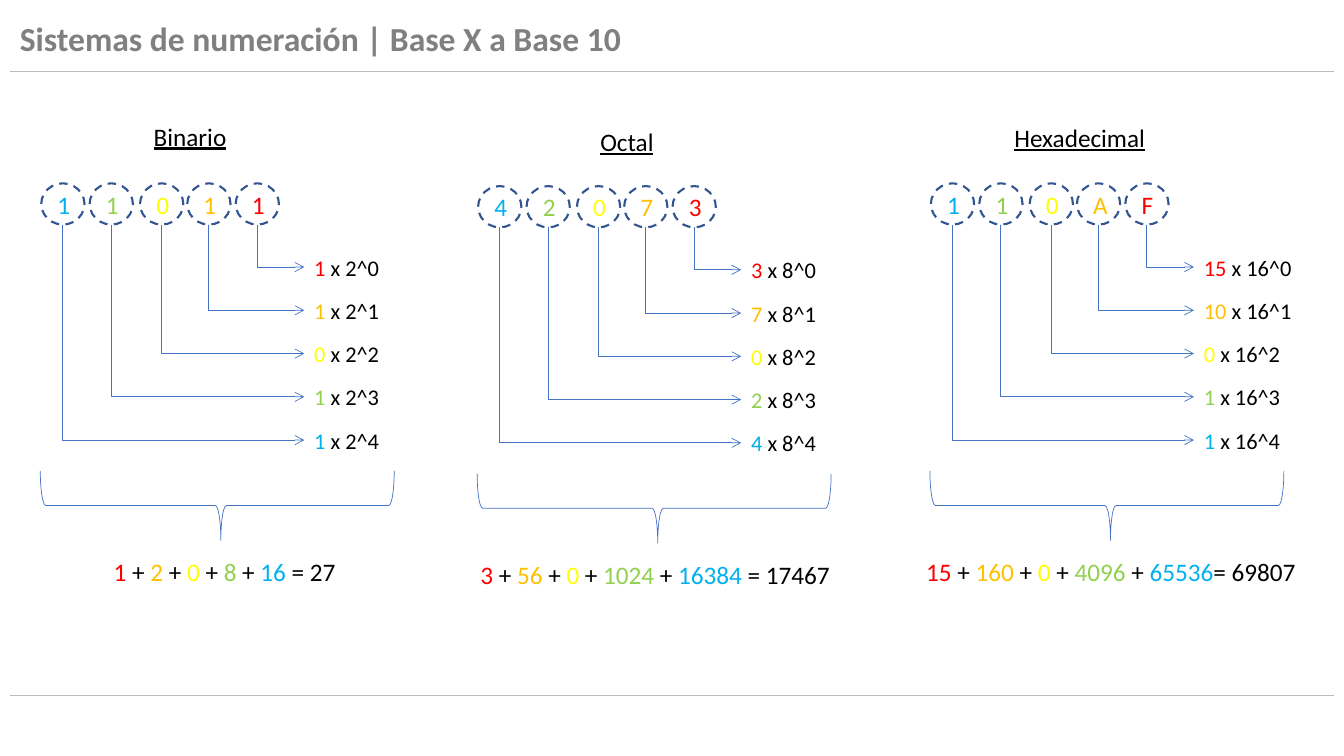
from pptx import Presentation
from pptx import util as u
from pptx.dml.color import RGBColor
from pptx.enum import dml, shapes, text
from pptx.oxml import ns
from lxml import etree

Cm, Pt = u.Cm, u.Pt
HUES = {
    "red": "FF0000", "gold": "FFC000", "yellow": "FFFF00",
    "green": "92D050", "blue": "00B0F0", "black": "000000",
    "gray": "808080", "rule": "BBBDBF", "ring": "325491", "line": "4472C4",
}
RANKS = ["red", "gold", "yellow", "green", "blue"]
RINGS = [0, 1.22, 2.49, 3.68, 4.9]

deck = Presentation()
deck.slide_width, deck.slide_height = Cm(33.87), Cm(19.05)
slide = deck.slides.add_slide(deck.slide_layouts[6])


def write(frame, runs, size, align=text.PP_ALIGN.LEFT):
    para = frame.paragraphs[0]
    para.alignment = align
    para.font.size = Pt(size)
    para.font.name = "Calibri"
    for words, hue in runs:
        run = para.add_run()
        run.text = words
        run.font.color.rgb = RGBColor.from_string(HUES[hue])
    return para


def draw(kind, x1, y1, x2, y2, hue, width):
    line = slide.shapes.add_connector(kind, Cm(x1), Cm(y1), Cm(x2), Cm(y2))
    line.line.color.rgb = RGBColor.from_string(HUES[hue])
    line.line.width = Pt(width)
    etree.SubElement(line.element.spPr, ns.qn("a:effectLst"))
    return line


for y in (1.8, 17.53):
    draw(shapes.MSO_CONNECTOR.STRAIGHT, 0.24, y, 33.62, y, "rule", 0.75)

title = slide.shapes.add_textbox(Cm(0.25), Cm(0.38), Cm(31.93), Cm(1.3)).text_frame
title.word_wrap = True
title.vertical_anchor = text.MSO_ANCHOR.MIDDLE
para = write(title, [("Sistemas de numeración | Base X a Base 10", "gray")], 24)
para.font.bold = True
para.line_spacing = 0.9

PANELS = [
    ("Binario", "11011", 2, 1.04, 0, 2.92, 2.46, 6.4, " = "),
    ("Octal", "42073", 8, 12.05, 0.07, 3.05, 11.71, 9.6, " = "),
    ("Hexadecimal", "110AF", 16, 23.46, 0, 2.95, 22.89, 10.21, "= "),
]

for name, digits, base, left, drop, top, start, wide, equal in PANELS:
    head = slide.shapes.add_textbox(Cm(left + 1.75), Cm(top), Cm(4), Cm(1.02)).text_frame
    head.word_wrap = True
    para = write(head, [(name, "black")], 18, text.PP_ALIGN.CENTER)
    para.font.underline = True

    terms, total = [], 0
    for rank, digit in enumerate(reversed(digits)):
        hue = RANKS[rank]
        x = left + RINGS[4 - rank]
        y = 6.73 + drop + 1.09 * rank
        value = int(digit, 16)

        ring = slide.shapes.add_shape(
            shapes.MSO_SHAPE.OVAL, Cm(x), Cm(4.62 + drop), Cm(1.09), Cm(1.04))
        ring.shadow.inherit = False
        ring.fill.background()
        ring.line.color.rgb = RGBColor.from_string(HUES["ring"])
        ring.line.width = Pt(1.5)
        ring.line.dash_style = dml.MSO_LINE.DASH
        write(ring.text_frame, [(digit, hue)], 18, text.PP_ALIGN.CENTER)

        arrow = draw(shapes.MSO_CONNECTOR.ELBOW, x + 0.54, 5.66 + drop,
                     left + 6.63, y, "line", 0.5)
        props = arrow.element.spPr
        etree.SubElement(props.find(ns.qn("a:ln")), ns.qn("a:tailEnd"), type="arrow")
        bends = props.find(ns.qn("a:prstGeom")).find(ns.qn("a:avLst"))
        etree.SubElement(bends, ns.qn("a:gd"), name="adj1", fmla="val 0")

        label = slide.shapes.add_textbox(
            Cm(left + 6.63), Cm(y - 0.46), Cm(3.25), Cm(0.94)).text_frame
        label.word_wrap = True
        write(label, [(f"{value} ", hue), (f"x {base}^{rank}", "black")], 16)

        if rank:
            terms.append((" + ", "black"))
        terms.append((str(value * base ** rank), hue))
        total += value * base ** rank

    brace = slide.shapes.add_shape(
        shapes.MSO_SHAPE.RIGHT_BRACE, Cm(left + 3.56), Cm(8.28 + drop), Cm(1.75), Cm(8.92))
    brace.rotation = 90
    brace.adjustments[0] = 0.08
    brace.adjustments[1] = 0.49
    brace.shadow.inherit = False
    brace.fill.background()
    brace.line.color.rgb = RGBColor.from_string(HUES["line"])
    brace.line.width = Pt(0.5)

    terms.append((f"{equal}{total}", "black"))
    sums = slide.shapes.add_textbox(
        Cm(start), Cm(13.89 + drop), Cm(wide), Cm(1.02)).text_frame
    sums.word_wrap = True
    write(sums, terms, 18, text.PP_ALIGN.CENTER)

deck.save("out.pptx")
